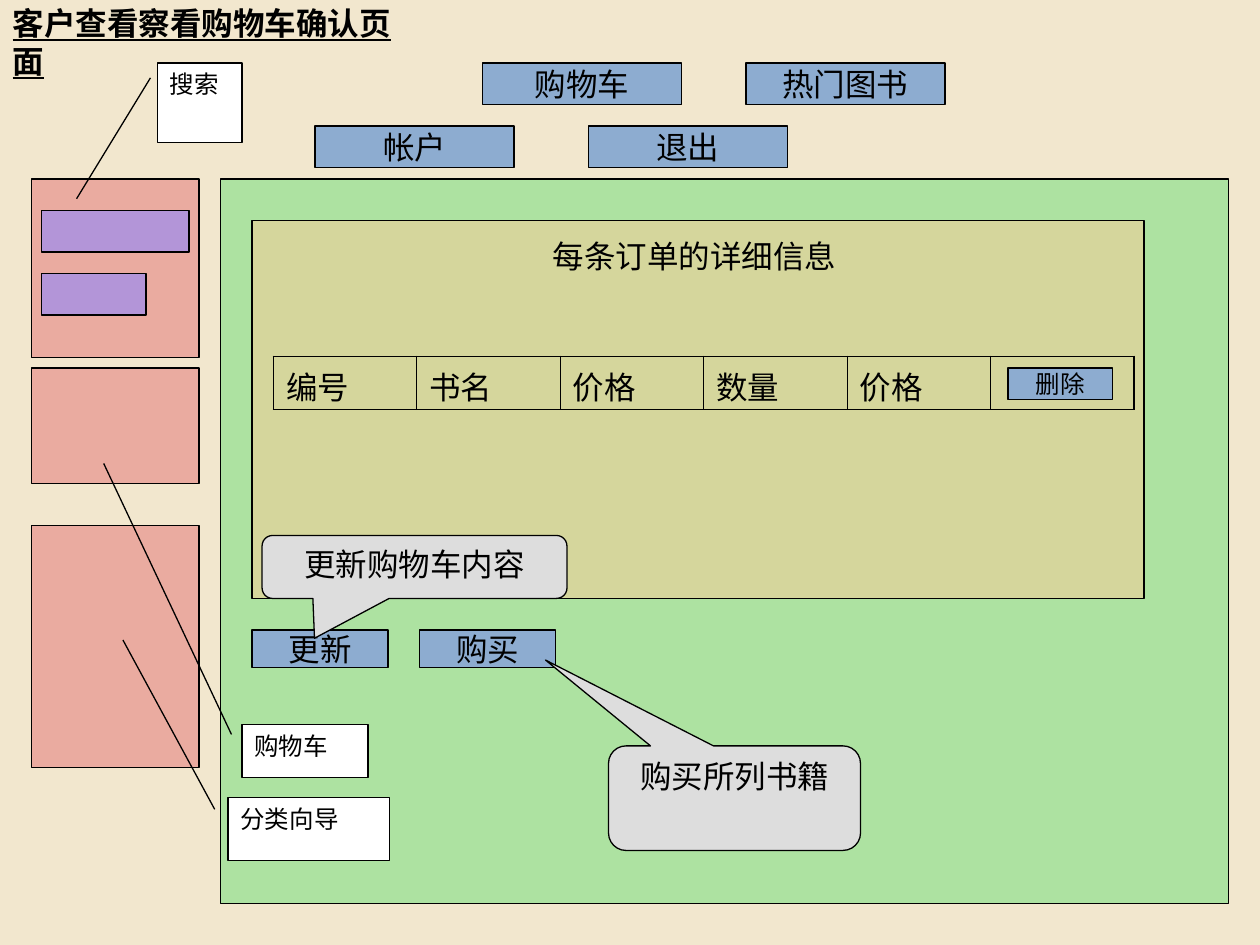
"""Build the wireframe slide of the shopping cart confirmation page."""
from lxml.etree import SubElement
from pptx import Presentation
from pptx.dml.color import RGBColor
from pptx.enum.shapes import MSO_SHAPE as Shape
from pptx.enum.text import MSO_ANCHOR as Anchor, MSO_AUTO_SIZE as AutoSize, PP_ALIGN as Align
from pptx.oxml.ns import qn
from pptx.util import Inches, Pt

COLORS = {
    "background": "F2E7CE",
    "sidebar": "EAABA0",
    "field": "B395D8",
    "content": "ADE2A1",
    "orders": "D5D69C",
    "button": "8DACD0",
    "balloon": "DDDDDD",
    "label": "FFFFFF",
    "ink": "000000",
}


class Wireframe:
    """Hold the style and the current slide, and draw each kind of element."""

    font_name = "Arial"
    text_size = 18
    small_size = 14
    line_width = 0.75

    def __init__(self, presentation):
        """Add a title-only slide with the page background."""
        self.slide = presentation.slides.add_slide(presentation.slide_layouts[5])
        self.paint(self.slide.background.fill, "background")

    def paint(self, fill, color):
        """Give a fill a solid palette colour."""
        fill.solid()
        fill.fore_color.rgb = RGBColor.from_string(COLORS[color])

    def set_text(self, frame, text, size=None, align=Align.LEFT):
        """Set one formatted paragraph and return it."""
        paragraph = frame.paragraphs[0]
        paragraph.text = text
        paragraph.alignment = align
        font = paragraph.font
        font.name = self.font_name
        font.size = Pt(size or self.text_size)
        font.color.rgb = RGBColor.from_string(COLORS["ink"])
        return paragraph

    def title(self, text, left, top, width, height):
        """Place and format the title placeholder."""
        shape = self.slide.shapes.title
        shape.left, shape.top = Inches(left), Inches(top)
        shape.width, shape.height = Inches(width), Inches(height)
        frame = shape.text_frame
        frame.word_wrap = False
        frame.auto_size = AutoSize.SHAPE_TO_FIT_TEXT
        frame.vertical_anchor = Anchor.TOP
        font = self.set_text(frame, text).font
        font.bold = font.underline = True

    def box(self, color, left, top, width, height, kind=Shape.RECTANGLE, adjustments=()):
        """Draw an outlined shape and return it."""
        shape = self.slide.shapes.add_shape(
            kind, Inches(left), Inches(top), Inches(width), Inches(height))
        shape.shadow.inherit = False
        self.paint(shape.fill, color)
        self.paint(shape.line.fill, "ink")
        shape.line.width = Pt(self.line_width)
        for index, value in enumerate(adjustments):
            shape.adjustments[index] = value
        return shape

    def button(self, text, left, top, width=1.58, height=0.33, size=None):
        """Draw a button with a centred caption."""
        frame = self.box("button", left, top, width, height).text_frame
        frame.word_wrap = False
        frame.vertical_anchor = Anchor.MIDDLE
        self.set_text(frame, text, size, Align.CENTER)

    def orders(self, heading, left, top, width, height):
        """Draw the order panel with its heading near the top."""
        frame = self.box("orders", left, top, width, height).text_frame
        frame.word_wrap = False
        frame.vertical_anchor = Anchor.TOP
        frame.margin_top = Inches(0.13)
        self.set_text(frame, heading, align=Align.CENTER)

    def label(self, text, left, top, width, height, end):
        """Draw a label with a leader line to the relative end point."""
        shape = self.box("label", left, top, width, height,
                         Shape.LINE_CALLOUT_1, (0.188, -0.083, *end))
        shape.text_frame.vertical_anchor = Anchor.TOP
        self.set_text(shape.text_frame, text, self.small_size)

    def balloon(self, text, left, top, width, height, tip):
        """Draw a speech balloon with the tip at a relative point."""
        shape = self.box("balloon", left, top, width, height,
                         Shape.ROUNDED_RECTANGULAR_CALLOUT, (*tip, 0.167))
        shape.text_frame.vertical_anchor = Anchor.TOP
        self.set_text(shape.text_frame, text, align=Align.CENTER)

    def border(self, cell, side, width):
        """Draw one border of a table cell."""
        line = SubElement(cell._tc.get_or_add_tcPr(), qn(f"a:ln{side}"), w=str(Pt(width)))
        fill = SubElement(line, qn("a:solidFill"))
        SubElement(fill, qn("a:srgbClr"), val=COLORS["ink"])

    def table(self, captions, left, top, width, height):
        """Draw a one-row table with a heavier outer border."""
        table = self.slide.shapes.add_table(
            1, len(captions), Inches(left), Inches(top), Inches(width), Inches(height)).table
        table.first_row = table.horz_banding = False
        last = len(captions) - 1
        inner, outer = 0.45, 1.08
        for index, caption in enumerate(captions):
            cell = table.cell(0, index)
            widths = {"L": inner if index else outer,
                      "R": inner if index < last else outer,
                      "T": outer, "B": outer}
            for side, line_width in widths.items():
                self.border(cell, side, line_width)
            cell.fill.background()
            if caption:
                self.set_text(cell.text_frame, caption).space_before = Pt(4.5)


def main():
    """Draw the page and save it."""
    presentation = Presentation()
    presentation.slide_width, presentation.slide_height = Inches(10), Inches(7.5)
    page = Wireframe(presentation)
    page.title("客户查看察看购物车确认页面", 0, -0.02, 3.45, 0.4)

    for top, height in ((1.42, 1.42), (2.92, 0.92), (4.17, 1.92)):
        page.box("sidebar", 0.25, top, 1.33, height)
    for top, width in ((1.67, 1.17), (2.17, 0.83)):
        page.box("field", 0.33, top, width, 0.33)
    page.box("content", 1.75, 1.42, 8, 5.75)

    for text, left, top in (("购物车", 3.83, 0.5), ("热门图书", 5.92, 0.5),
                            ("帐户", 2.5, 1), ("退出", 4.67, 1)):
        page.button(text, left, top)

    page.label("搜索", 1.25, 0.5, 0.67, 0.63, (1.711, -0.958))
    page.label("购物车", 1.92, 5.75, 1, 0.42, (-4.933, -1.097))
    page.label("分类向导", 1.81, 6.33, 1.28, 0.5, (-2.5, -0.652))

    page.orders("每条订单的详细信息 ", 2, 1.75, 7.08, 3)
    page.table(("编号", "书名", "价格", "数量", "价格", ""), 2.17, 2.83, 6.83, 0.42)
    page.button("删除", 8, 2.92, 0.83, 0.25, page.small_size)
    for text, left in (("更新", 2), ("购买", 3.33)):
        page.button(text, left, 5, 1.08, 0.3)

    page.balloon("购买所列书籍", 4.83, 5.92, 2, 0.83, (-0.75, -1.321))
    page.balloon("更新购物车内容", 2.08, 4.25, 2.42, 0.5, (-0.328, 1.132))
    presentation.save("out.pptx")


if __name__ == "__main__":
    main()
